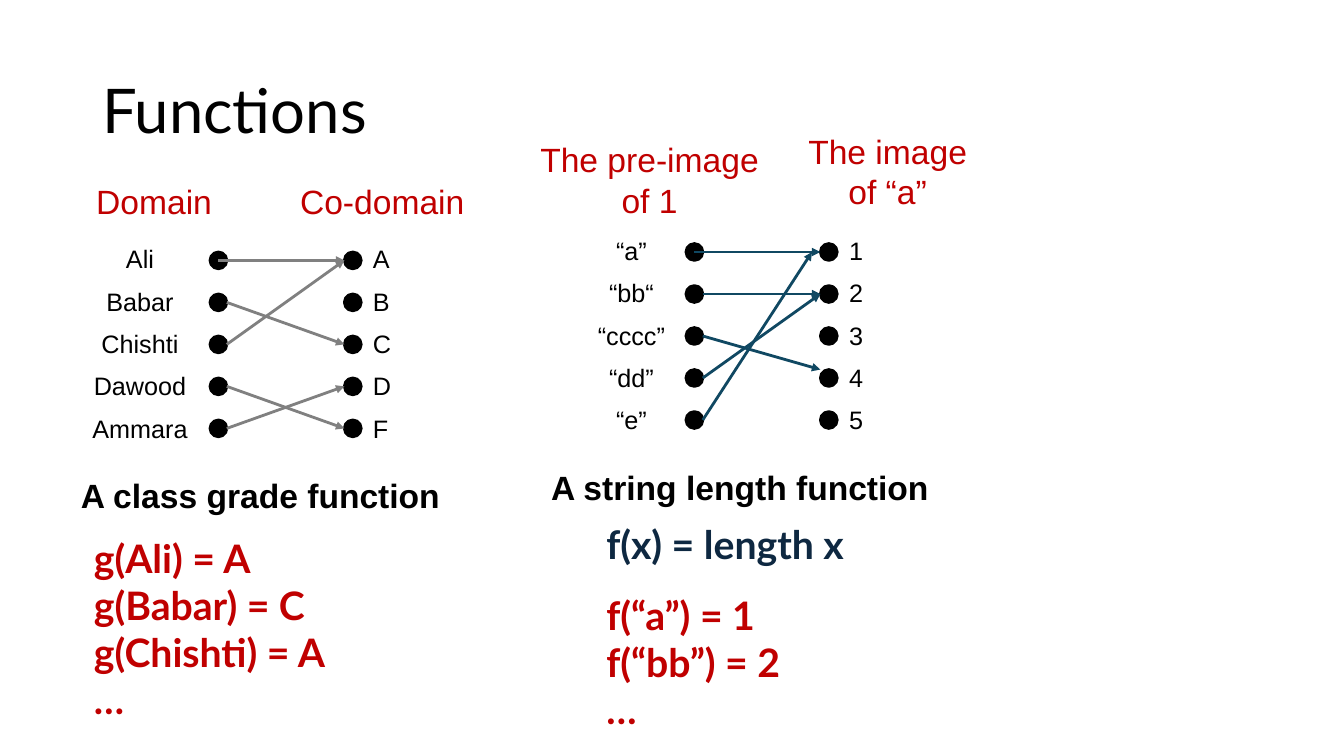
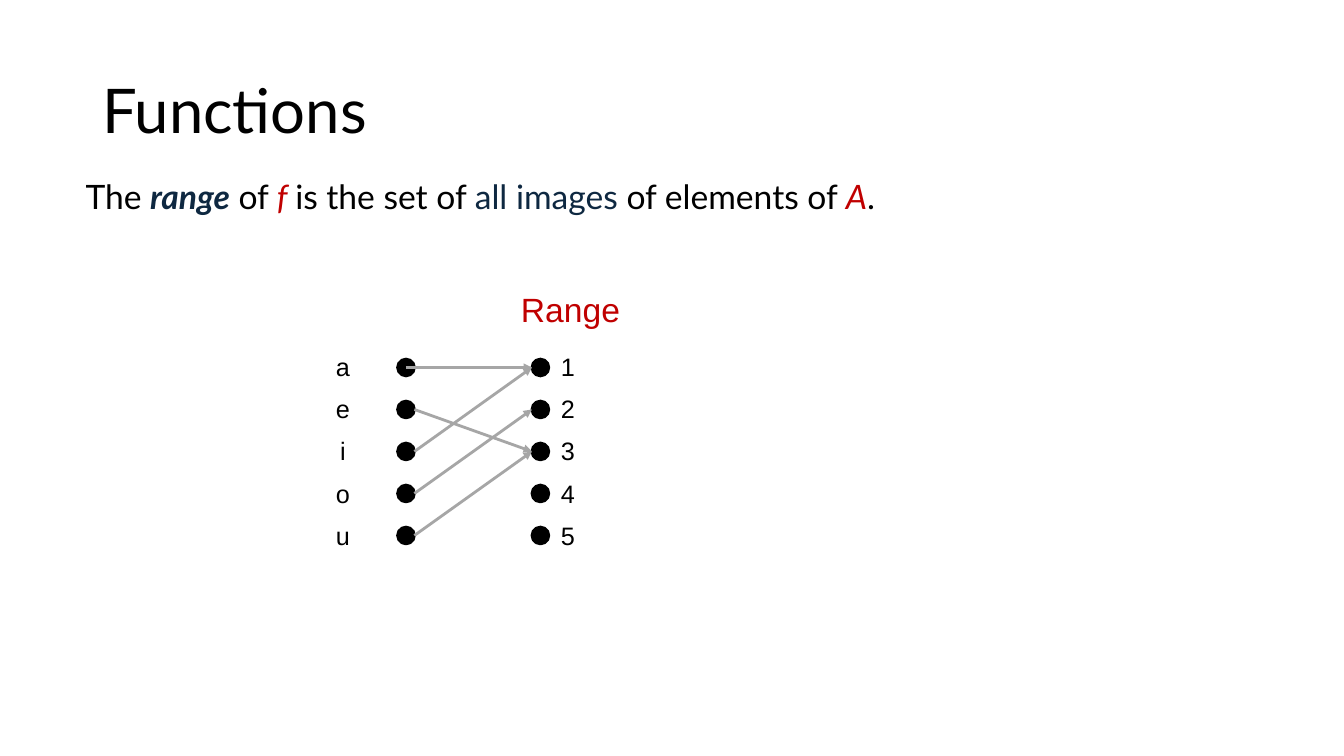
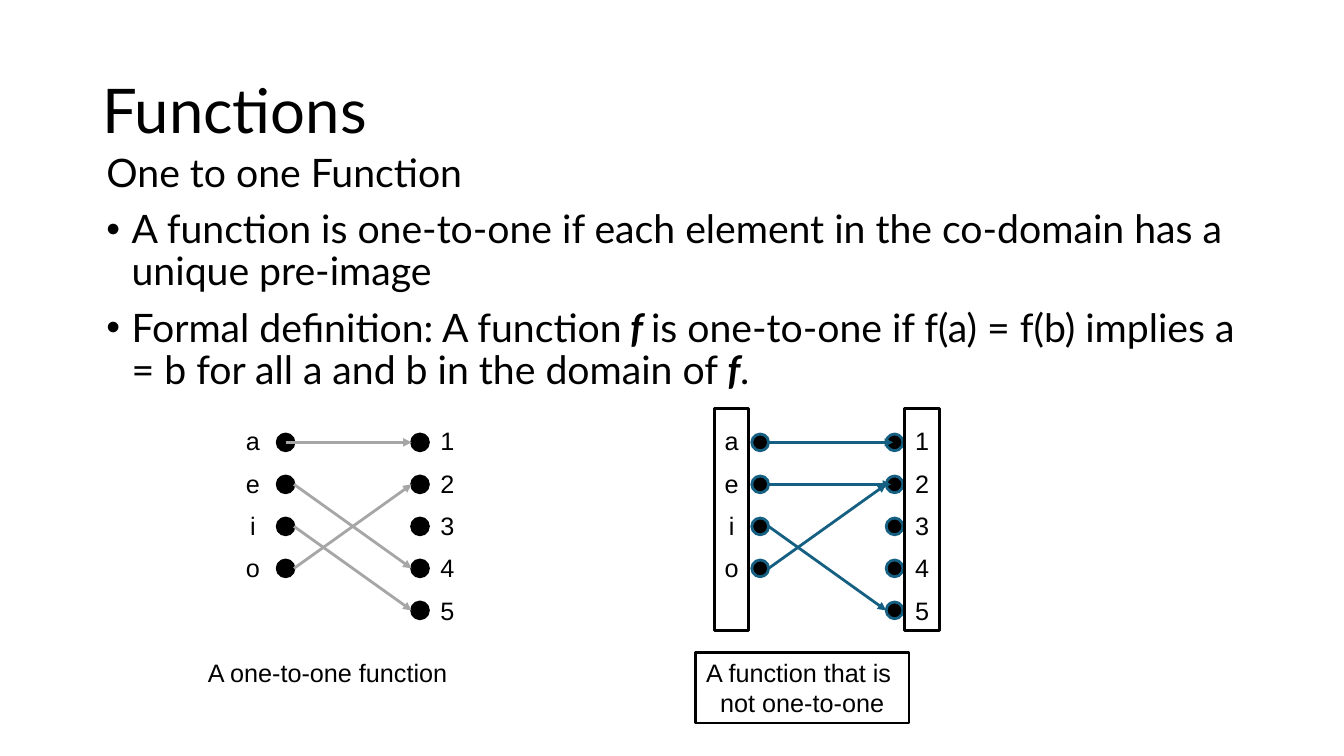
from pptx import Presentation
from pptx.dml.color import RGBColor
from pptx.enum import shapes as kinds, text as layout
from pptx.oxml import ns, xmlchemy
from pptx.util import Pt

COLORS = {
    "black": "000000",
    "red": "C00000",
    "navy": "0E2841",
    "teal": "156082",
    "dark_teal": "104862",
    "gray": "808080",
    "light_gray": "A6A6A6",
}
HEADING_FONT, DIAGRAM_FONT = "Lato", "Arial"
STROKE = 2
DOT = 12
ROW_STEP = 30
COLUMN_STEP = 96
LABEL_HEIGHT = 158.4
LABEL_WIDTH = 24.5
CENTER = layout.PP_ALIGN.CENTER


def rgb(name):
    return RGBColor.from_string(COLORS[name])


def add_run(paragraph, words, size, font, color, bold=False, italic=False):
    run = paragraph.add_run()
    run.text = words
    run.font.size = Pt(size)
    run.font.name = font
    run.font.color.rgb = rgb(color)
    run.font.bold = bold
    run.font.italic = italic


def add_bullet(paragraph):
    properties = paragraph._p.get_or_add_pPr()
    properties.set("marL", str(Pt(18)))
    properties.set("indent", str(Pt(-18)))
    for tag, key, value in (("a:buFont", "typeface", "Arial"), ("a:buChar", "char", "•")):
        bullet = xmlchemy.OxmlElement(tag)
        bullet.set(key, value)
        properties.append(bullet)


def add_text(shapes, box, paragraphs, size, font=DIAGRAM_FONT, color="black", bold=False,
             align=None, spacing=None, wrap=False, framed=False):
    """Each paragraph is a string or a list of (words, style overrides)."""
    area = shapes.add_textbox(*map(Pt, box))
    if framed:
        area.line.color.rgb = rgb("black")
        area.line.width = Pt(STROKE)
    frame = area.text_frame
    frame.word_wrap = wrap
    base = dict(size=size, font=font, color=color, bold=bold)
    for index, content in enumerate(paragraphs):
        paragraph = frame.paragraphs[0] if index == 0 else frame.add_paragraph()
        paragraph.alignment = align
        paragraph.line_spacing = spacing
        runs = [(content, {})] if isinstance(content, str) else content
        for words, style in runs:
            add_run(paragraph, words, **{**base, **style})
    return frame


def add_titled_slide(deck):
    slide = deck.slides.add_slide(deck.slide_layouts[6])
    title = add_text(slide.shapes, (66, 28.8, 828, 104.4), ["Functions"], 44,
                     HEADING_FONT, spacing=0.9, wrap=True)
    title.vertical_anchor = layout.MSO_ANCHOR.MIDDLE
    return slide.shapes


def add_heading(shapes, box, lines):
    add_text(shapes, box, lines, 24, color="red", align=CENTER)


def add_dot(shapes, x, y, outline):
    dot = shapes.add_shape(kinds.MSO_SHAPE.OVAL, Pt(x), Pt(y), Pt(DOT), Pt(DOT))
    dot.shadow.inherit = False
    dot.fill.solid()
    dot.fill.fore_color.rgb = rgb("black")
    dot.line.color.rgb = rgb(outline)
    dot.line.width = Pt(STROKE)


def add_arrow(shapes, start, end, color):
    arrow = shapes.add_connector(kinds.MSO_CONNECTOR.STRAIGHT, *map(Pt, (*start, *end)))
    arrow.line.color.rgb = rgb(color)
    arrow.line.width = Pt(STROKE)
    properties = arrow.element.spPr
    head = xmlchemy.OxmlElement("a:tailEnd")
    head.set("type", "triangle")
    properties.find(ns.qn("a:ln")).append(head)
    properties.append(xmlchemy.OxmlElement("a:effectLst"))


def add_mapping(slide_shapes, x, y, inputs, outputs, arrows, color, input_center,
                input_width=LABEL_WIDTH, outline="black", framed=False):
    """Draw two columns of labelled dots; x, y is the corner of the first dot.

    An arrow is (input row, output row, start dx, end dx, end dy); shifts are optional.
    """
    shapes = slide_shapes.add_group_shape().shapes
    for column, labels in enumerate((inputs, outputs)):
        for row in range(len(labels)):
            add_dot(shapes, x + column * COLUMN_STEP, y + row * ROW_STEP, outline)

    for source, target, *shifts in arrows:
        start_dx, end_dx, end_dy = (shifts + [0, 0, 0])[:3]
        middle = y + DOT / 2
        add_arrow(shapes, (x + DOT + start_dx, middle + source * ROW_STEP),
                  (x + COLUMN_STEP + end_dx, middle + target * ROW_STEP + end_dy), color)

    for labels, center, width in ((inputs, input_center, input_width),
                                  (outputs, 121.6, LABEL_WIDTH)):
        add_text(shapes, (x + center - width / 2, y - 18, width, LABEL_HEIGHT), labels, 18,
                 align=CENTER, spacing=1.4, framed=framed)
    return shapes


def add_caption(shapes, x, y, width, height, lines, size, bold=False, framed=False, center=36):
    """Centre a caption below the mapping whose first dot is at x, y."""
    add_text(shapes, (x + center - width / 2, y + 156, width, height), lines, size,
             bold=bold, align=CENTER, framed=framed)


def build_examples(deck):
    shapes = add_titled_slide(deck)
    grades = add_mapping(
        shapes, 150, 180, ["Ali", "Babar", "Chishti", "Dawood", "Ammara"], list("ABCDF"),
        [(0, 0, -6), (1, 2), (3, 4), (2, 0), (4, 3)], "gray", -50, 104)
    add_caption(grades, 150, 180, 274, 36.5, ["A class grade function"], 24, bold=True)
    add_text(shapes, (60, 378, 198, 143), ["g(Ali) = A", "g(Babar) = C", "g(Chishti) = A", "…"],
             28, HEADING_FONT, "red", bold=True)

    lengths = add_mapping(
        shapes, 490, 174, ["“a”", "“bb“", "“cccc”", "“dd”", "“e”"], list("12345"),
        [(0, 0, -6), (1, 1), (3, 1), (2, 3, 0, 0, -6), (4, 0, 0, -6)],
        "dark_teal", -39, 63)
    add_caption(lengths, 490, 174, 286, 36.5, ["A string length function"], 24,
                bold=True, center=38.5)
    formulas = add_text(
        shapes, (426, 368, 222, 160),
        [[("f(x) = length x", {"color": "navy"})], "f(“a”) = 1", "f(“bb”) = 2", "…"],
        28, HEADING_FONT, "red", bold=True, wrap=True)
    formulas.paragraphs[1].space_before = Pt(17)

    add_heading(shapes, (61, 126, 98, 36), ["Domain"])
    add_heading(shapes, (206.5, 126, 133, 36), ["Co-domain"])
    add_heading(shapes, (378, 96, 172, 65.5), ["The pre-image", "of 1"])
    add_heading(shapes, (569.5, 90, 129, 65.5), ["The image", "of “a”"])


def build_range(deck):
    shapes = add_titled_slide(deck)
    add_mapping(shapes, 284, 256.5, list("aeiou"), list("12345"),
                [(0, 0, -6), (1, 2), (3, 1), (2, 0), (4, 2)], "light_gray", -39)
    symbol = {"color": "red", "italic": True}
    definition = [
        ("The ", {}), ("range", {"color": "navy", "bold": True, "italic": True}),
        (" of ", {}), ("f ", symbol), ("is the set of ", {}),
        ("all images ", {"color": "navy"}), ("of elements of ", {}), ("A", symbol), (".", {}),
    ]
    add_text(shapes, (54, 122.4, 580, 87), [definition], 24, HEADING_FONT, wrap=True)
    add_heading(shapes, (364.5, 202.5, 86, 36), ["Range"])


def build_one_to_one(deck):
    shapes = add_titled_slide(deck)
    symbol = {"bold": True, "italic": True}
    body = add_text(
        shapes, (69, 106, 828, 342.5),
        ["One to one Function",
         "A function is one-to-one if each element in the co-domain has a unique pre-image",
         [("Formal definition: A function", {}), (" f ", symbol),
          ("is one-to-one if f(a) = f(b) implies a = b for all a and b in the domain of ", {}),
          ("f", symbol), (".", {})]],
        28, HEADING_FONT, spacing=0.9, wrap=True)
    for paragraph in body.paragraphs[1:]:
        paragraph.space_before = Pt(10)
        add_bullet(paragraph)

    vowels, numbers = list("aeio"), list("12345")
    injective = add_mapping(shapes, 198, 310, vowels, numbers,
                            [(0, 0, -6), (1, 3), (3, 1), (2, 4)], "light_gray", -17.3)
    add_caption(injective, 198, 310, 186.5, 29, ["A one-to-one function"], 18)

    colliding = add_mapping(shapes, 537, 310, vowels, numbers,
                            [(0, 0, -1, 5), (1, 1, 0, 3.5), (3, 1), (2, 4)], "teal", -14.4,
                            outline="teal", framed=True)
    add_caption(colliding, 537, 310, 152.6, 50.5, ["A function that is ", "not one-to-one"], 18,
                framed=True)


def main():
    deck = Presentation()
    deck.slide_width, deck.slide_height = Pt(960), Pt(540)
    build_examples(deck)
    build_range(deck)
    build_one_to_one(deck)
    deck.save("out.pptx")


if __name__ == "__main__":
    main()
